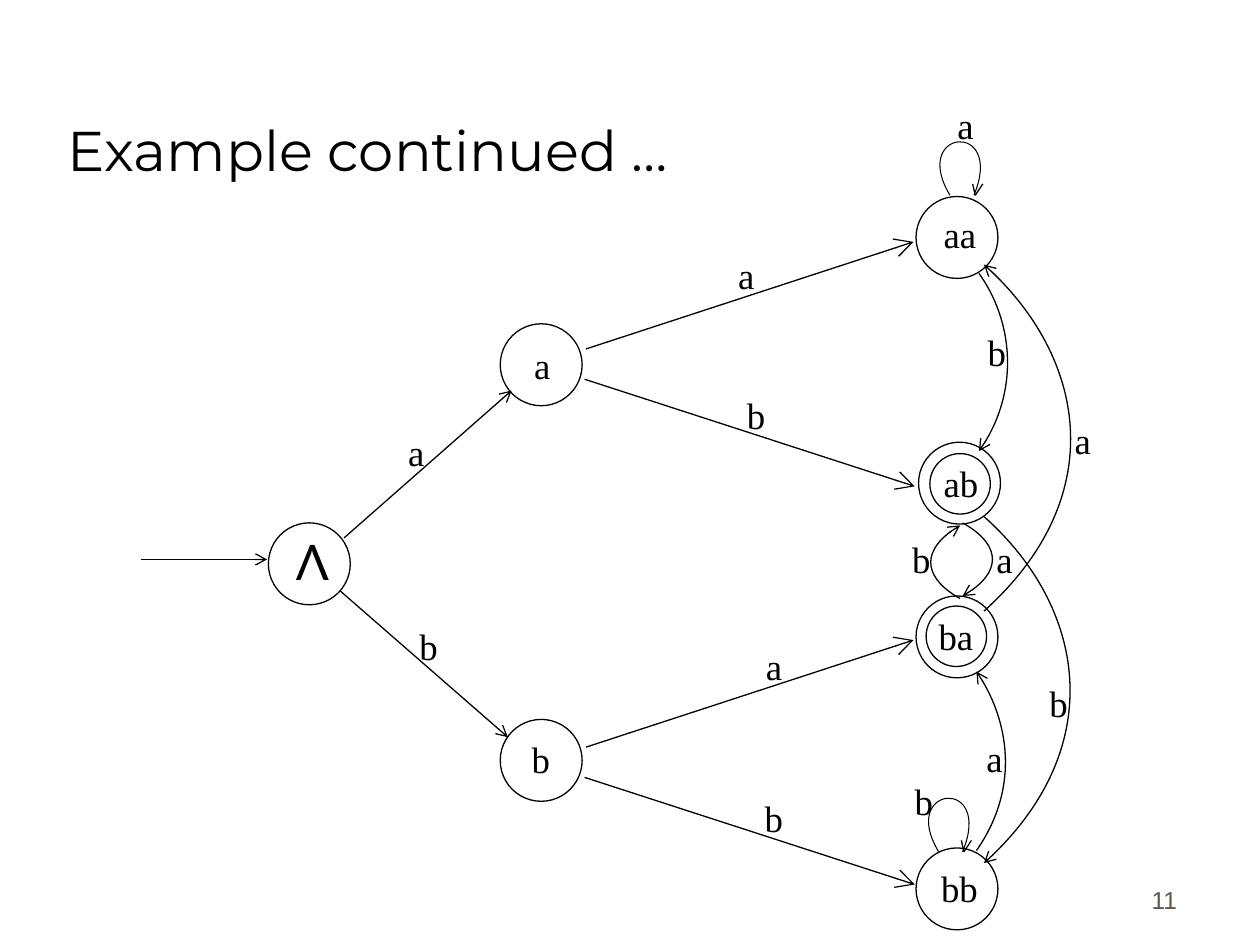
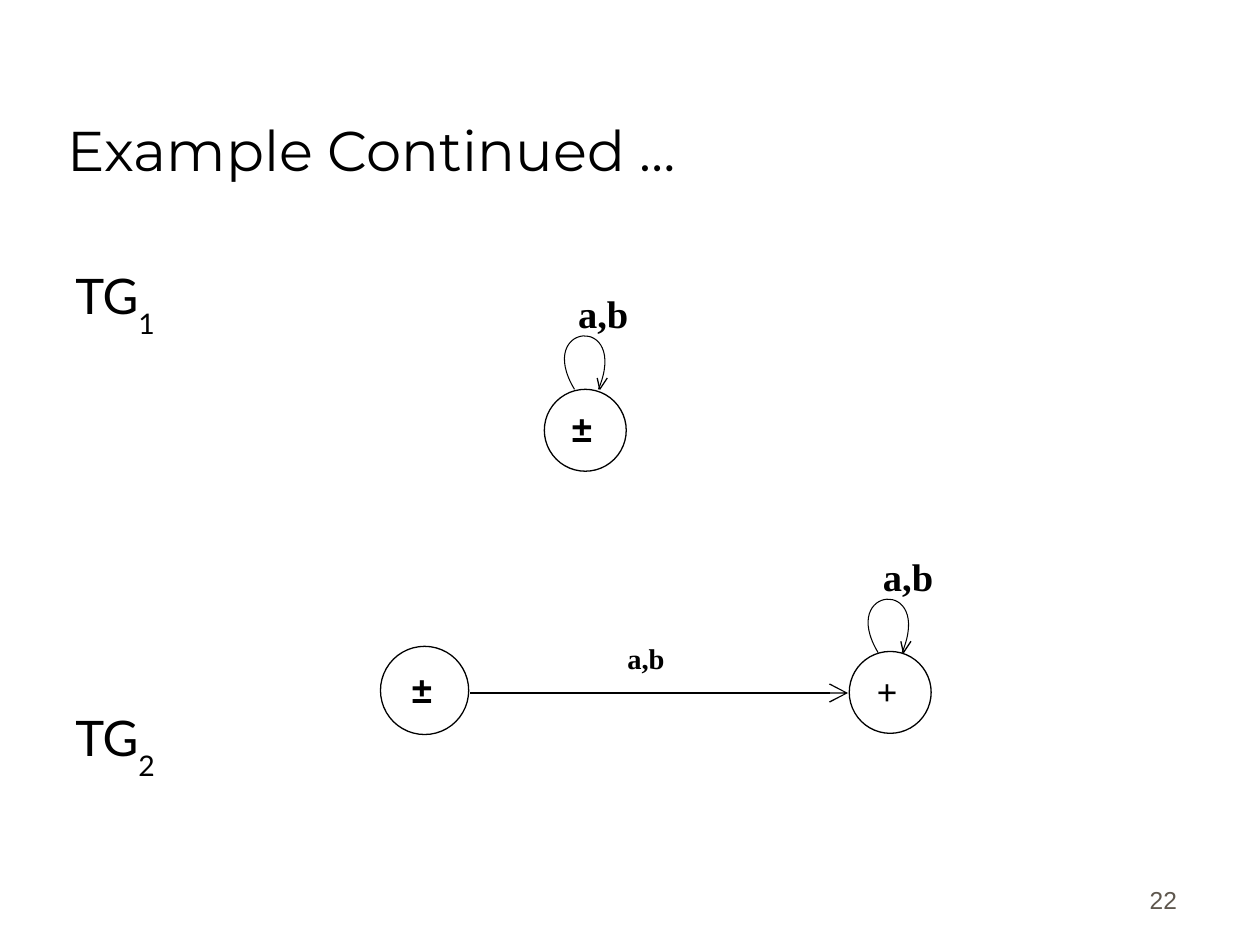
"""Build two slides of automaton diagrams: a five-step state machine and two transition graphs."""
from dataclasses import dataclass

from lxml import etree
from pptx import Presentation
from pptx import util as u
from pptx.dml import color
from pptx.enum import shapes, text
from pptx.oxml import ns

COLORS = {"ink": "000000", "paper": "FFFFFF", "number": "5E574E"}
SERIF, SANS, BODY, HEADING = "Times New Roman", "Arial", "Lato", "Montserrat"
STATE_SIZE = 0.65
INNER_SIZE = 0.48


@dataclass(frozen=True)
class State:
    left: float
    top: float
    size: float = STATE_SIZE


@dataclass(frozen=True)
class Label:
    words: str
    left: float
    top: float
    width: float = 0.98
    height: float = 0.68
    points: float = 21
    font: str = SERIF
    bold: bool = False
    ink: str = "ink"
    align: text.PP_ALIGN = text.PP_ALIGN.LEFT
    anchor: text.MSO_ANCHOR = text.MSO_ANCHOR.TOP
    spacing: float = 1.0


@dataclass(frozen=True)
class Arrow:
    start: tuple[float, float]
    end: tuple[float, float]
    head: str = "med"


@dataclass(frozen=True)
class Curve:
    points: tuple[tuple[float, float], ...]


def rgb(name: str) -> color.RGBColor:
    """Look up a named colour."""
    return color.RGBColor.from_string(COLORS[name])


def set_outline(shape, width: float = 0.75, head: str = "") -> None:
    """Give a shape or connector a black line, optionally with an arrowhead."""
    shape.line.color.rgb = rgb("ink")
    shape.line.width = u.Pt(width)
    if head:
        outline = shape._element.spPr.find(ns.qn("a:ln"))
        etree.SubElement(outline, ns.qn("a:tailEnd"), type="arrow", w=head, len=head)


def draw_state(page, state: State) -> None:
    """Draw one state circle."""
    circle = page.shapes.add_shape(
        shapes.MSO_SHAPE.OVAL, u.Inches(state.left), u.Inches(state.top),
        u.Inches(state.size), u.Inches(state.size))
    circle.shadow.inherit = False
    circle.fill.solid()
    circle.fill.fore_color.rgb = rgb("paper")
    set_outline(circle)


def add_box(page, left: float, top: float, width: float, height: float):
    """Add a wrapping text box and return its text frame."""
    box = page.shapes.add_textbox(
        u.Inches(left), u.Inches(top), u.Inches(width), u.Inches(height))
    box.text_frame.word_wrap = True
    return box.text_frame


def set_font(para, name: str, points: float, ink: str = "ink", bold: bool = False) -> None:
    """Set the font of a whole paragraph."""
    para.font.name = name
    para.font.size = u.Pt(points)
    para.font.bold = bold
    para.font.color.rgb = rgb(ink)


def draw_label(page, label: Label) -> None:
    """Draw one single-paragraph label."""
    frame = add_box(page, label.left, label.top, label.width, label.height)
    frame.vertical_anchor = label.anchor
    para = frame.paragraphs[0]
    para.text = label.words
    para.alignment = label.align
    para.line_spacing = label.spacing
    set_font(para, label.font, label.points, label.ink, label.bold)


def draw_arrow(page, arrow: Arrow) -> None:
    """Draw a straight line; an empty head leaves it plain."""
    ends = [u.Inches(value) for value in (*arrow.start, *arrow.end)]
    line = page.shapes.add_connector(shapes.MSO_CONNECTOR.STRAIGHT, *ends)
    set_outline(line, head=arrow.head)
    etree.SubElement(line._element.spPr, ns.qn("a:effectLst"))


def draw_curve(page, curve: Curve, width: float = 0.75, head: str = "med") -> None:
    """Draw a cubic curve from its start, two control points and end."""
    start, *rest = [(u.Inches(x), u.Inches(y)) for x, y in curve.points]
    builder = page.shapes.build_freeform(*start)
    builder.add_line_segments(rest, close=False)
    shape = builder.convert_to_shape()
    shape.shadow.inherit = False
    shape.fill.background()
    set_outline(shape, width, head)
    outline = next(shape._element.iter(ns.qn("a:path")))
    segments = outline.findall(ns.qn("a:lnTo"))
    bezier = etree.SubElement(outline, ns.qn("a:cubicBezTo"))
    for segment in segments:
        bezier.append(segment[0])
        outline.remove(segment)


def draw_loop(page, x: float, y: float) -> None:
    """Draw a self-loop whose left foot stands at x, y."""
    offsets = ((0, 0), (-0.32, -0.53), (0.44, -0.6), (0.19, 0))
    draw_curve(page, Curve(tuple((x + dx, y + dy) for dx, dy in offsets)), 0.6, "")
    for dx in (0.18, 0.26):
        draw_arrow(page, Arrow((x + dx, y - 0.09), (x + 0.2, y), ""))


def draw_diagram(page, states, arrows, curves, loops, labels) -> None:
    """Draw the states, then their transitions, then the labels."""
    for state in states:
        draw_state(page, state)
    for arrow in arrows:
        draw_arrow(page, arrow)
    for curve in curves:
        draw_curve(page, curve)
    for foot in loops:
        draw_loop(page, *foot)
    for label in labels:
        draw_label(page, label)


def add_page(deck, title: str, number: str):
    """Add a slide with its title and slide number."""
    page = deck.slides.add_slide(deck.slide_layouts[6])
    bottom = text.MSO_ANCHOR.BOTTOM
    draw_label(page, Label(number, 7.36, 6.81, 2.08, 0.5, 14, SANS, ink="number",
                           align=text.PP_ALIGN.RIGHT, anchor=bottom))
    draw_label(page, Label(title, 0.44, 0.25, 8.5, 1.25, 32, HEADING, anchor=bottom))
    return page


def build_state_machine(deck) -> None:
    """Build the slide that tracks the last two letters read."""
    page = add_page(deck, "Example continued …", "11")
    states = [State(2.13, 4.15), State(3.97, 2.57), State(3.97, 5.71),
              State(7.27, 1.56), State(7.29, 3.51), State(7.27, 4.73), State(7.27, 6.73),
              State(7.38, 3.6, INNER_SIZE), State(7.35, 4.81, INNER_SIZE)]
    arrows = [Arrow((1.12, 4.44), (2.12, 4.44)),
              Arrow((2.73, 4.27), (4.06, 3.1)),
              Arrow((2.7, 4.69), (4.03, 5.85))]
    for top in (1.92, 5.08):
        arrows += [Arrow((4.65, top + 0.85), (7.25, top), "lg"),
                   Arrow((4.64, top + 1.09), (7.26, top + 1.94), "lg")]
    curves = [Curve(((7.77, 2.17), (8.03, 2.53), (8.1, 3.12), (7.77, 3.58))),
              Curve(((7.75, 6.75), (8.08, 6.28), (8.01, 5.7), (7.75, 5.33))),
              Curve(((7.81, 4.1), (8.61, 4.81), (8.81, 5.95), (7.81, 6.85))),
              Curve(((7.81, 4.85), (8.81, 3.95), (8.61, 2.81), (7.81, 2.1))),
              Curve(((7.64, 4.15), (7.91, 4.3), (7.98, 4.54), (7.64, 4.73))),
              Curve(((7.62, 4.75), (7.35, 4.6), (7.29, 4.36), (7.62, 4.17)))]
    state_names = [Label("Λ", 2.25, 4.17, points=28, font=BODY),
                   Label("a", 4.14, 2.67), Label("b", 4.12, 5.8),
                   Label("aa", 7.39, 1.63), Label("ab", 7.39, 3.61),
                   Label("ba", 7.35, 4.82), Label("bb", 7.37, 6.82)]
    letter_places = {
        "a": [(7.5, 0.77), (8.43, 3.27), (5.98, 5.06), (7.73, 5.79),
              (3.14, 3.36), (5.76, 1.96), (7.81, 4.21)],
        "b": [(5.97, 6.27), (7.74, 2.57), (5.83, 3.07), (3.23, 4.9),
              (7.16, 6.13), (8.23, 5.35), (7.14, 4.21)],
    }
    letters = [Label(letter, *place)
               for letter, places in letter_places.items() for place in places]
    loops = [(7.54, 1.55), (7.45, 6.76)]
    draw_diagram(page, states, arrows, curves, loops, state_names + letters)


def add_graph_names(page) -> None:
    """Write the two graph names with lowered indices."""
    frame = add_box(page, 0.5, 2.06, 8.94, 4.56)
    for index in ("1", "2"):
        para = frame.paragraphs[0] if index == "1" else frame.add_paragraph()
        if index == "2":
            para.space_before = u.Pt(210)
        set_font(para, BODY, 28)
        para.add_run().text = "TG"
        span = para.add_run()
        span.text = index
        span._r.get_or_add_rPr().set("baseline", "-40000")


def build_transition_graphs(deck) -> None:
    """Build the slide with the graphs TG1 and TG2."""
    page = add_page(deck, "Example Continued …", "22")
    add_graph_names(page)
    states = [State(4.32, 3.09), State(6.74, 5.17), State(3.02, 5.13, 0.7)]
    labels = [Label("a,b", 4.49, 2.25, 0.84, 0.56, 22, bold=True),
              Label("a,b", 6.91, 4.34, 0.84, 0.56, 22, bold=True),
              Label("a,b", 4.88, 5.09, 0.65, 0.38, 16.3, bold=True, spacing=0.8),
              Label("±", 4.44, 3.17, 0.6, 0.5, font=SANS, bold=True),
              Label("±", 3.17, 5.24, 0.6, 0.5, font=SANS, bold=True),
              Label("+", 6.86, 5.26, 0.6, 0.5, bold=True)]
    arrows = [Arrow((3.73, 5.5), (6.73, 5.5), "lg")]
    draw_diagram(page, states, arrows, [], [(4.56, 3.09), (6.97, 5.18)], labels)


def main() -> None:
    """Create and save the deck."""
    deck = Presentation()
    deck.slide_width, deck.slide_height = u.Inches(10), u.Inches(7.5)
    build_state_machine(deck)
    build_transition_graphs(deck)
    deck.save("out.pptx")


if __name__ == "__main__":
    main()
